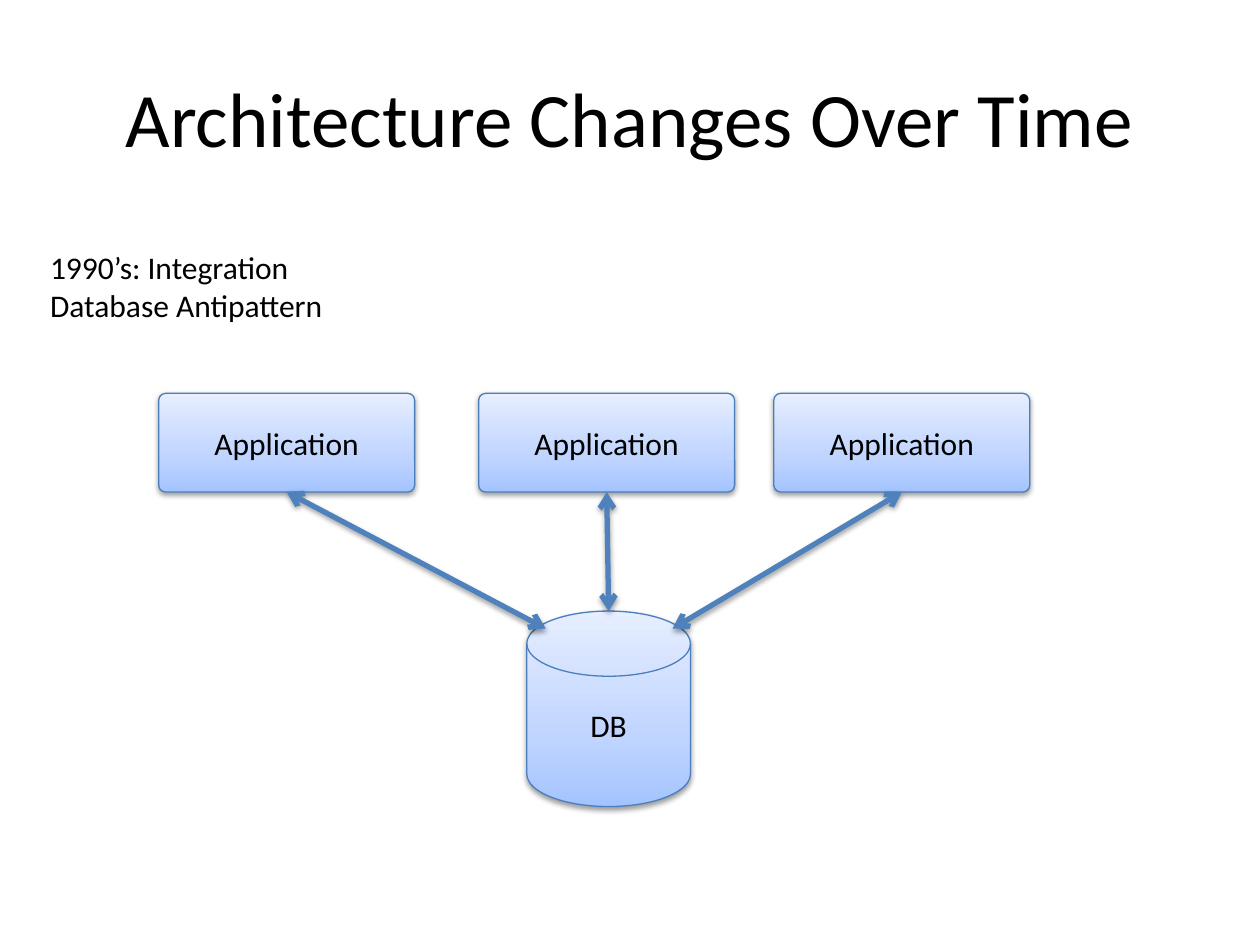
from lxml.etree import SubElement
from pptx import Presentation
from pptx.dml.color import RGBColor
from pptx.enum.shapes import MSO_CONNECTOR, MSO_SHAPE
from pptx.enum.text import MSO_ANCHOR, PP_ALIGN
from pptx.oxml.ns import qn
from pptx.util import Cm, Pt

GRADIENT = [(0, "A4C4FF"), (35, "BFD4FF"), (100, "E6EEFF")]


def write(shape, text, size=18, align=PP_ALIGN.CENTER, anchor=MSO_ANCHOR.MIDDLE):
    frame = shape.text_frame
    frame.text = text
    frame.vertical_anchor = anchor
    for paragraph in frame.paragraphs:
        paragraph.alignment = align
        for span in paragraph.runs:
            span.font.name = "Calibri"
            span.font.size = Pt(size)
            span.font.color.rgb = RGBColor.from_string("000000")


def style(shape, color, width):
    """Set the line and a soft shadow straight below the shape."""
    shape.line.color.rgb = RGBColor.from_string(color)
    shape.line.width = Pt(width)
    effects = SubElement(shape._element.spPr, qn("a:effectLst"))
    shadow = SubElement(effects, qn("a:outerShdw"), blurRad="40000", dist="20000",
                        dir="5400000", rotWithShape="0")
    black = SubElement(shadow, qn("a:srgbClr"), val="000000")
    SubElement(black, qn("a:alpha"), val="38000")


deck = Presentation()
deck.slide_width, deck.slide_height = Cm(25.4), Cm(19.05)
page = deck.slides.add_slide(deck.slide_layouts[6])

title = page.shapes.add_textbox(Cm(1.27), Cm(0.76), Cm(22.86), Cm(3.18))
title.text_frame.word_wrap = True
write(title, "Architecture Changes Over Time", size=44)

era = page.shapes.add_textbox(Cm(0.76), Cm(4.88), Cm(6.1), Cm(1.8))
era.text_frame.word_wrap = False
write(era, "1990’s: Integration\nDatabase Antipattern",
      align=PP_ALIGN.LEFT, anchor=MSO_ANCHOR.TOP)

# Applications and the database they share
database = page.shapes.add_shape(MSO_SHAPE.FLOWCHART_MAGNETIC_DISK,
                                 Cm(10.62), Cm(12.32), Cm(3.3), Cm(3.94))
write(database, "DB")
applications = []
for left in (3.2, 9.65, 15.6):
    application = page.shapes.add_shape(MSO_SHAPE.ROUNDED_RECTANGLE,
                                        Cm(left), Cm(7.93), Cm(5.16), Cm(1.99))
    application.adjustments[0] = 0.07
    write(application, "Application")
    applications.append(application)

for shape in [database, *applications]:
    shape.fill.gradient()
    shape.fill.gradient_angle = 90
    stops = shape._element.spPr.find(".//" + qn("a:gsLst"))
    for stop in list(stops):
        stops.remove(stop)
    for position, color in GRADIENT:
        stop = SubElement(stops, qn("a:gs"), pos=str(position * 1000))
        SubElement(stop, qn("a:srgbClr"), val=color)
    style(shape, "4B7EBC", 0.75)

# Two-way arrows from each application to the rim of the database
rim = [(11, 12.67), (12.27, 12.32), (13.56, 12.67)]
for application, (x, y) in zip(applications, rim):
    arrow = page.shapes.add_connector(MSO_CONNECTOR.STRAIGHT, 0, 0, Cm(x), Cm(y))
    arrow.begin_connect(application, 2)
    style(arrow, "4F81BD", 3)
    for end in ("a:headEnd", "a:tailEnd"):
        SubElement(arrow.line._get_or_add_ln(), qn(end), type="arrow")

deck.save("out.pptx")
